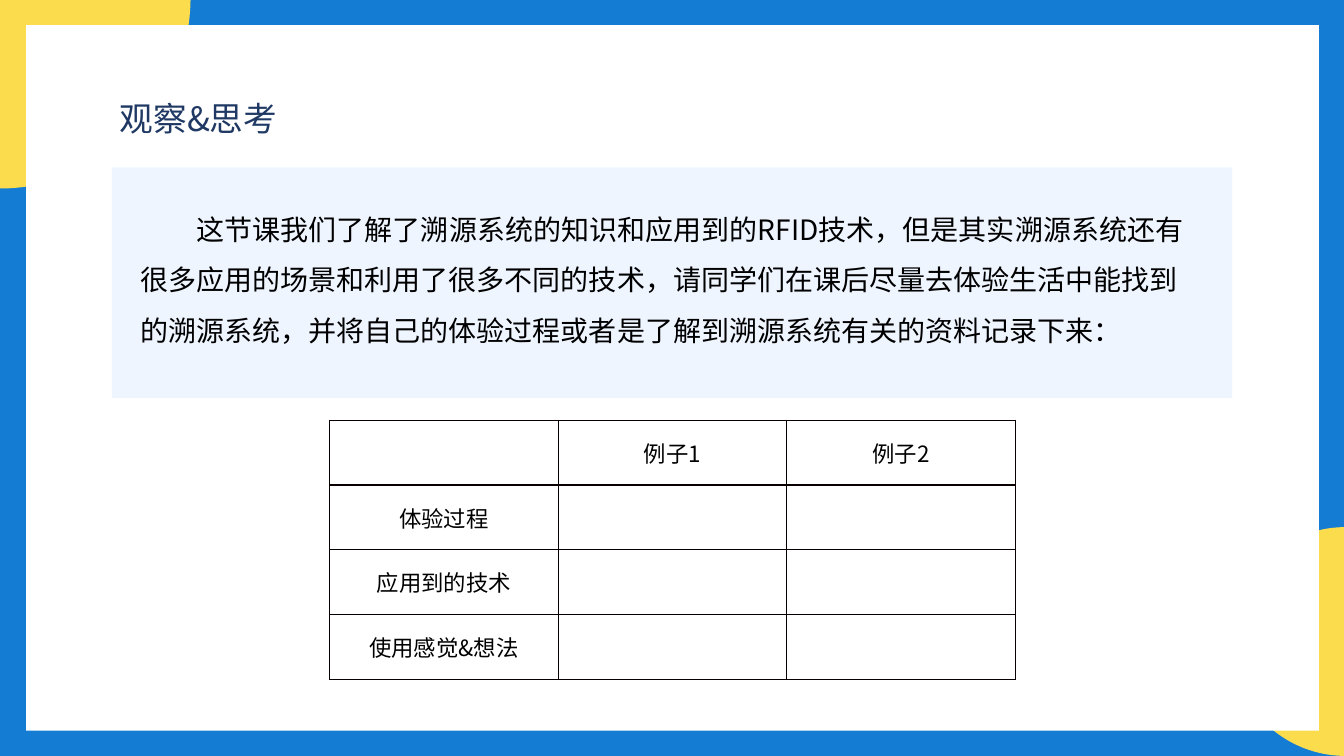
import lxml.etree
import pptx
import pptx.dml.color
import pptx.enum.shapes
import pptx.enum.text
import pptx.oxml.ns
import pptx.util
from pptx.util import Inches

FONT = "Noto Sans CJK SC"
BLUE, YELLOW, WHITE, PALE = "157CD3", "FBDC4D", "FFFFFF", "EFF5FF"
NAVY, BLACK, GRID = "1F3964", "000000", "080000"
SHAPES = pptx.enum.shapes.MSO_SHAPE
MIDDLE = pptx.enum.text.MSO_ANCHOR.MIDDLE
TOP = pptx.enum.text.MSO_ANCHOR.TOP
LEFT = pptx.enum.text.PP_ALIGN.LEFT
CENTER = pptx.enum.text.PP_ALIGN.CENTER

INTRO = ("这节课我们了解了溯源系统的知识和应用到的RFID技术，但是其实溯源系统还有"
         "很多应用的场景和利用了很多不同的技术，请同学们在课后尽量去体验生活中能找到"
         "的溯源系统，并将自己的体验过程或者是了解到溯源系统有关的资料记录下来：")
RECORD = [
    ["", "例子1", "例子2"],
    ["体验过程", "", ""],
    ["应用到的技术", "", ""],
    ["使用感觉&想法", "", ""],
]


def color(value):
    return pptx.dml.color.RGBColor.from_string(value)


def paint(target, value):
    target.fill.solid()
    target.fill.fore_color.rgb = color(value)


def add_panel(slide, preset, left, top, width, height, fill):
    panel = slide.shapes.add_shape(
        preset, Inches(left), Inches(top), Inches(width), Inches(height))
    panel.shadow.inherit = False
    paint(panel, fill)
    panel.line.fill.background()
    return panel


def add_corner(slide, left, top, size, end_angle, rotation=0):
    corner = add_panel(slide, SHAPES.PIE, left, top, size, size, YELLOW)
    corner.adjustments[0] = 0.042
    corner.adjustments[1] = end_angle
    corner.rotation = rotation


def write(frame, text, size, text_color, align=LEFT):
    paragraph = frame.paragraphs[0]
    paragraph.text = text
    paragraph.alignment = align
    font = paragraph.font
    font.size = pptx.util.Pt(size)
    font.color.rgb = color(text_color)
    font.name = FONT
    # East Asian typeface follows the Latin one
    latin = paragraph._p.pPr.find(".//" + pptx.oxml.ns.qn("a:latin"))
    east_asian = lxml.etree.Element(pptx.oxml.ns.qn("a:ea"), typeface=FONT)
    latin.addnext(east_asian)
    return paragraph


def add_title(slide, text):
    title = slide.shapes.add_textbox(
        Inches(1.09), Inches(0.92), Inches(6.53), Inches(0.5))
    title.text_frame.word_wrap = True
    write(title.text_frame, text, 24, NAVY)


def add_intro(slide, text):
    intro = add_panel(slide, SHAPES.RECTANGLE, 1.11, 1.66, 11.11, 2.29, PALE)
    frame = intro.text_frame
    frame.word_wrap = True
    frame.vertical_anchor = TOP
    frame.margin_left = frame.margin_right = Inches(0.28)
    frame.margin_top = frame.margin_bottom = Inches(0.28)
    paragraph = write(frame, text, 20, BLACK)
    paragraph.line_spacing = 1.5
    paragraph._p.pPr.set("marL", "0")
    paragraph._p.pPr.set("indent", str(Inches(0.56)))


def add_borders(cell):
    properties = cell._tc.get_or_add_tcPr()
    for position, side in enumerate(("lnL", "lnR", "lnT", "lnB")):
        border = pptx.oxml.parse_xml(
            f'<a:{side} {pptx.oxml.ns.nsdecls("a")} w="{pptx.util.Pt(1)}">'
            f'<a:solidFill><a:srgbClr val="{GRID}"/></a:solidFill></a:{side}>')
        properties.insert(position, border)


def add_record_table(slide, rows):
    table = slide.shapes.add_table(
        len(rows), len(rows[0]),
        Inches(3.27), Inches(4.17), Inches(6.8), Inches(2.57)).table
    table.first_row = table.horz_banding = False
    for row_index, row in enumerate(rows):
        for column_index, text in enumerate(row):
            cell = table.cell(row_index, column_index)
            cell.fill.background()
            cell.vertical_anchor = MIDDLE
            cell.margin_left = cell.margin_right = Inches(0.07)
            cell.margin_top = cell.margin_bottom = 0
            write(cell.text_frame, text, 16, BLACK, CENTER)
            add_borders(cell)


def main():
    presentation = pptx.Presentation()
    presentation.slide_width = Inches(13.33)
    presentation.slide_height = Inches(7.5)
    slide = presentation.slides.add_slide(presentation.slide_layouts[6])

    # Blue frame with yellow corners around a white page
    paint(slide.background, BLUE)
    add_corner(slide, -1.9, -1.92, 3.79, 54.217)
    add_corner(slide, 12.21, 5.23, 2.27, 107.836, rotation=90)
    add_panel(slide, SHAPES.RECTANGLE, 0.26, 0.25, 12.82, 7, WHITE)

    # Task and record sheet
    add_title(slide, "观察&思考")
    add_intro(slide, INTRO)
    add_record_table(slide, RECORD)

    presentation.save("out.pptx")


if __name__ == "__main__":
    main()
